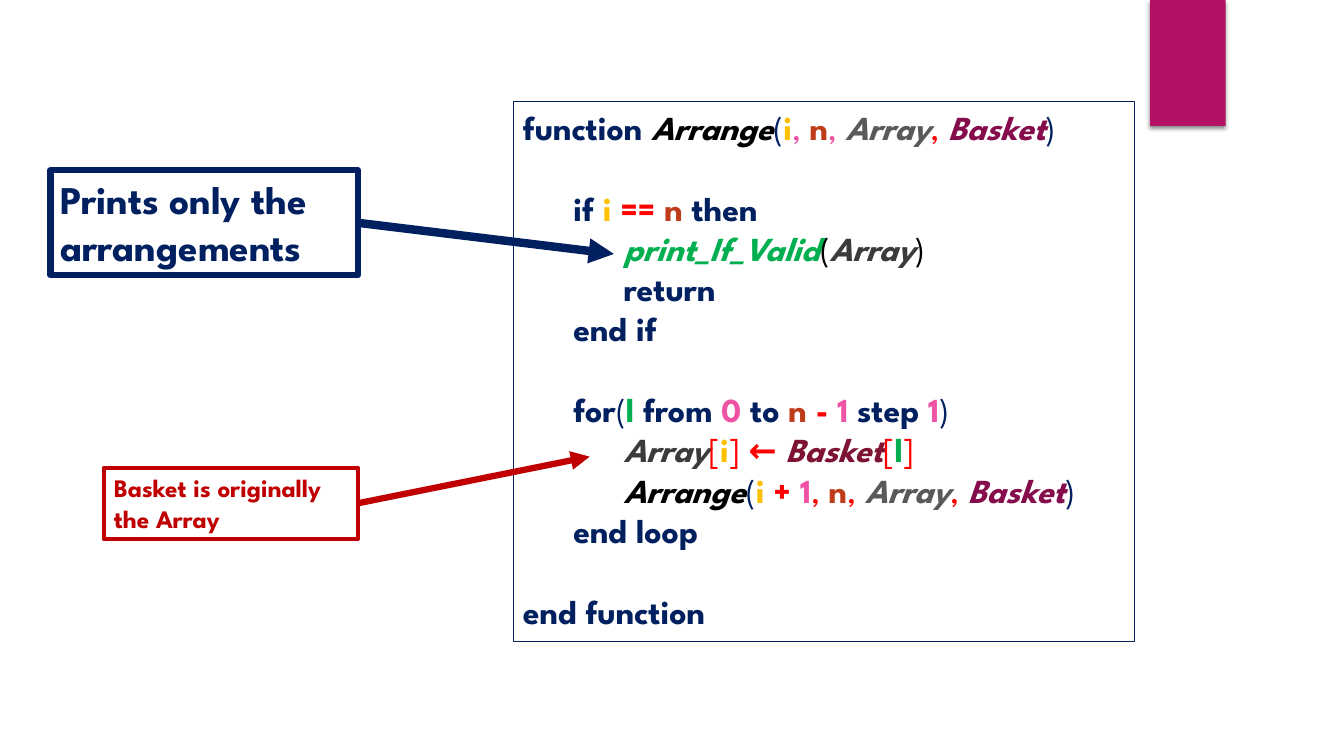
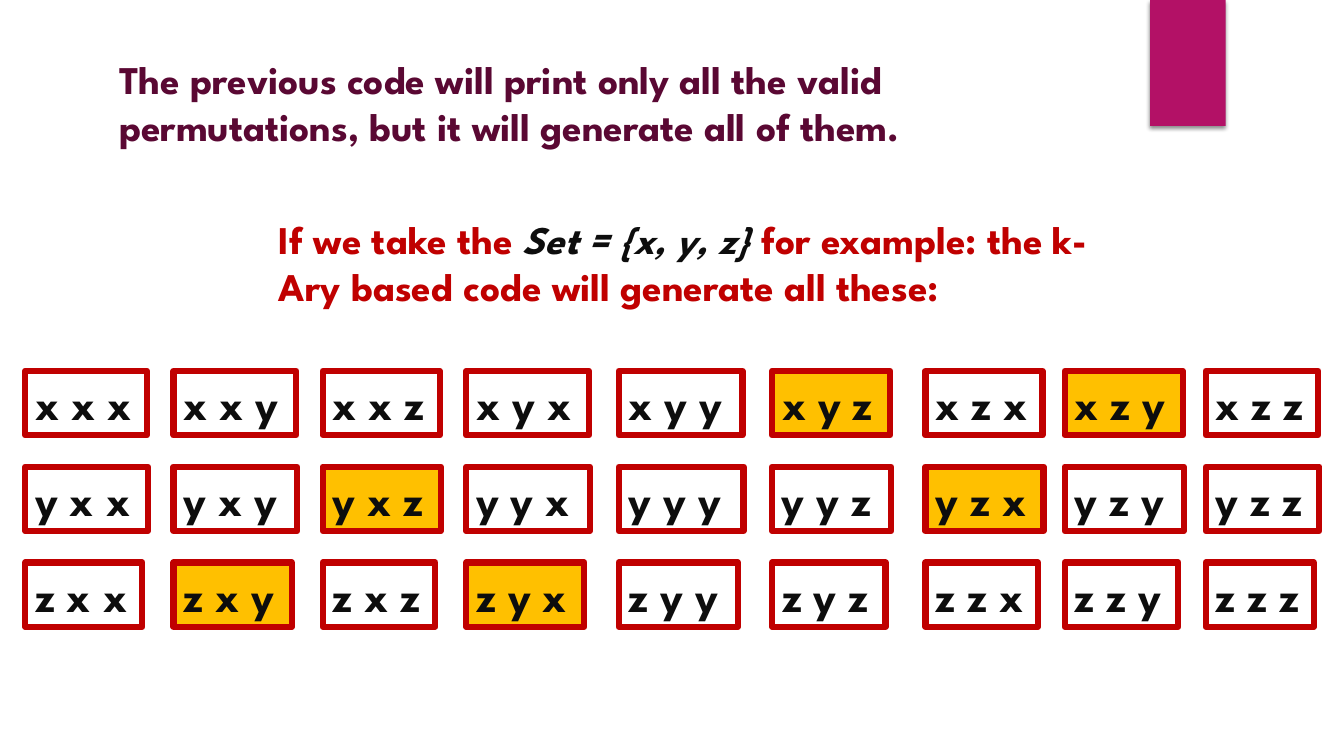
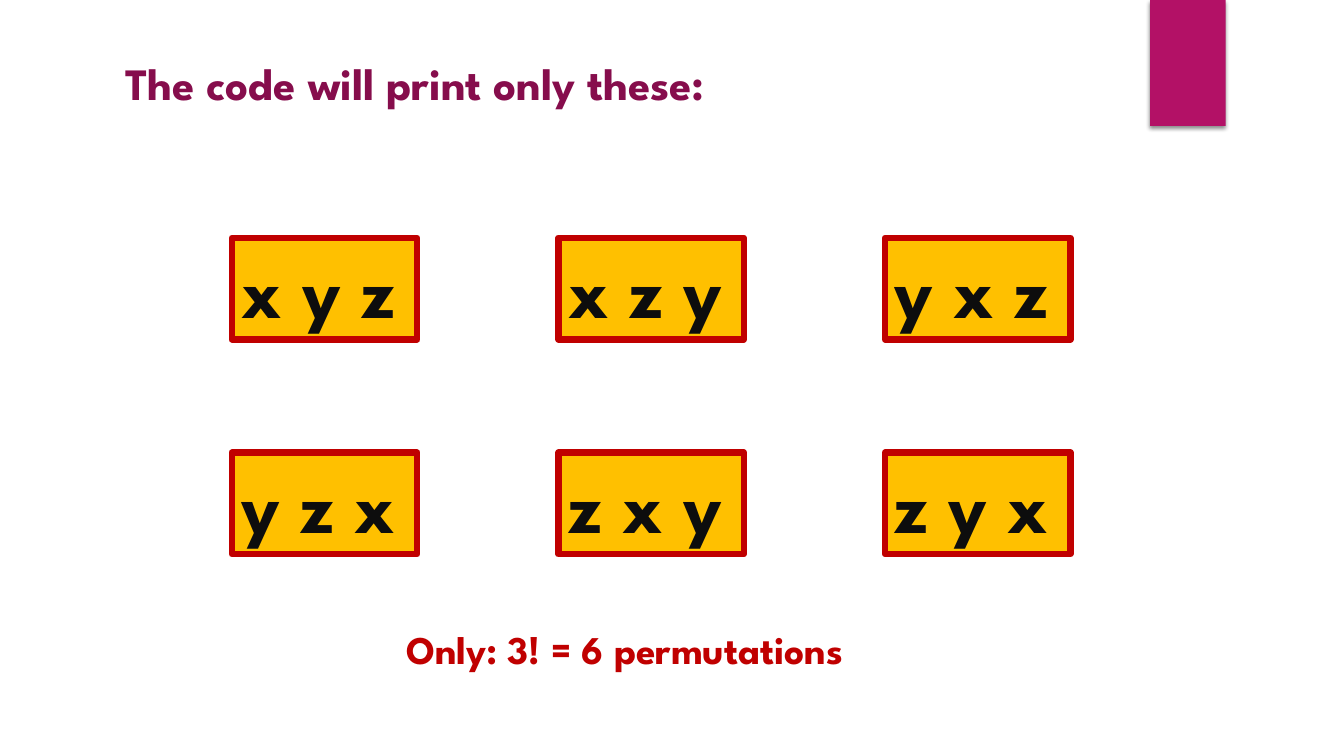
from dataclasses import dataclass
from itertools import permutations, product

from lxml import etree
from pptx import Presentation
from pptx.dml.color import RGBColor
from pptx.enum.shapes import MSO_CONNECTOR, MSO_SHAPE
from pptx.enum.text import MSO_ANCHOR, MSO_AUTO_SIZE, PP_ALIGN
from pptx.oxml.ns import qn
from pptx.util import Pt

STRAIGHT = MSO_CONNECTOR.STRAIGHT
RECTANGLE = MSO_SHAPE.RECTANGLE
TOP = MSO_ANCHOR.TOP
LEFT = PP_ALIGN.LEFT
GROW = MSO_AUTO_SIZE.SHAPE_TO_FIT_TEXT
TITLE_ONLY, BLANK = 5, 6
RIGHT_SIDE = 3


@dataclass(frozen=True)
class Theme:
    font: str = "League Spartan"
    band: str = "B31166"
    white: str = "FFFFFF"
    navy: str = "002060"
    crimson: str = "C00000"
    gold: str = "FFC000"
    ink: str = "0D0D0D"
    plum: str = "5A0833"
    berry: str = "860D4C"
    small: int = 18
    code: int = 24
    body: int = 28
    large: int = 32
    huge: int = 54
    line_height: float = 1.21
    cell_border: float = 4.5


THEME = Theme()

# Code styles: colour, bold, italic
CODE_STYLES = {
    "word": (THEME.navy, True, False),
    "bracket": (THEME.navy, False, False),
    "black bracket": ("000000", False, False),
    "index": (THEME.gold, True, False),
    "count": ("BE3C1A", True, False),
    "operator": ("FF0000", True, False),
    "mark": ("FF0000", False, False),
    "pink mark": ("EF53A5", False, False),
    "number": ("EF53A5", True, False),
    "loop": ("00B050", True, False),
    "print": ("00B050", True, True),
    "function": ("000000", True, True),
    "array": ("595959", True, True),
    "dark array": ("3B3B3B", True, True),
    "basket": (THEME.berry, True, True),
    "dark basket": ("7E1233", True, True),
}

# Code lines: indent level, whether a gap stands above, (text, style) runs
CODE_LINES = [
    (0, False, [("function ", "word"), ("Arrange", "function"), ("(", "bracket"),
                ("i", "index"), (", ", "pink mark"), ("n", "count"),
                (", ", "pink mark"), ("Array", "array"), (", ", "mark"),
                ("Basket", "basket"), (")", "bracket")]),
    (1, True, [("if ", "word"), ("i ", "index"), ("== ", "operator"),
               ("n ", "count"), ("then", "word")]),
    (2, False, [("print_If_Valid", "print"), ("(", "black bracket"),
                ("Array", "dark array"), (")", "black bracket")]),
    (2, False, [("return", "word")]),
    (1, False, [("end if", "word")]),
    (1, True, [("for", "word"), ("(", "bracket"), ("l ", "loop"), ("from ", "word"),
               ("0 ", "number"), ("to ", "word"), ("n ", "count"),
               ("- ", "operator"), ("1 ", "number"), ("step ", "word"),
               ("1", "number"), (")", "bracket")]),
    (2, False, [("Array", "dark array"), ("[", "mark"), ("i", "index"),
                ("] ", "mark"), ("← ", "operator"), ("Basket", "dark basket"),
                ("[", "mark"), ("l", "loop"), ("]", "mark")]),
    (2, False, [("Arrange", "function"), ("(", "bracket"), ("i ", "index"),
                ("+ ", "operator"), ("1", "number"), (", ", "mark"),
                ("n", "count"), (",", "mark"), (" Array", "array"),
                (", ", "mark"), ("Basket", "basket"), (")", "bracket")]),
    (1, False, [("end loop", "word")]),
    (0, True, [("end function", "word")]),
]

# Letter widths as a share of the type size
LETTER_WIDTHS = {"x": 0.756, "y": 0.778, "z": 0.653}


def colour(value):
    return RGBColor.from_string(value)


def add_run(paragraph, text, size, text_colour, bold=True, italic=False):
    run = paragraph.add_run()
    run.text = text
    run.font.name = THEME.font
    run.font.size = Pt(size)
    run.font.bold = bold
    run.font.italic = italic
    run.font.color.rgb = colour(text_colour)


def set_frame(shape, wrap=True):
    """Prepare a text frame and return its first paragraph."""
    frame = shape.text_frame
    frame.word_wrap = wrap
    frame.auto_size = GROW
    frame.vertical_anchor = TOP
    paragraph = frame.paragraphs[0]
    paragraph.alignment = LEFT
    return paragraph


def add_box(slide, box, line=None, line_width=0, fill=None):
    shape = slide.shapes.add_textbox(*map(Pt, box))
    if fill:
        shape.fill.solid()
        shape.fill.fore_color.rgb = colour(fill)
    if line:
        shape.line.color.rgb = colour(line)
        shape.line.width = Pt(line_width)
    return shape


def add_title(slide, box, text, size, text_colour):
    title = slide.shapes.title
    title.left, title.top, title.width, title.height = map(Pt, box)
    add_run(set_frame(title), text, size, text_colour)


def add_text(slide, box, runs, size):
    paragraph = set_frame(add_box(slide, box))
    for text, text_colour, italic in runs:
        add_run(paragraph, text, size, text_colour, italic=italic)


def add_master_band(presentation, slide, box):
    """Draw the corner band and move it to the master, behind every slide."""
    band = slide.shapes.add_shape(RECTANGLE, *map(Pt, box))
    band.fill.solid()
    band.fill.fore_color.rgb = colour(THEME.band)
    band.line.fill.background()
    band.shadow.inherit = False
    effects = band.element.spPr.find(qn("a:effectLst"))
    shadow = etree.SubElement(effects, qn("a:outerShdw"), blurRad=str(Pt(3)),
                              dist=str(Pt(2)), dir="5400000", rotWithShape="0")
    shade = etree.SubElement(shadow, qn("a:srgbClr"), val="000000")
    etree.SubElement(shade, qn("a:alpha"), val="45000")
    presentation.slide_master.shapes.element.append(band.element)


def add_code(slide, box):
    shape = add_box(slide, box, THEME.navy, 0.75, THEME.white)
    paragraph = set_frame(shape)
    for number, (level, gap, runs) in enumerate(CODE_LINES):
        if number:
            paragraph = shape.text_frame.add_paragraph()
            paragraph.alignment = LEFT
        paragraph._p.get_or_add_pPr().set("marL", str(Pt(36 * level)))
        if gap:
            paragraph.space_before = Pt(1.2 * THEME.code)
        for text, style in runs:
            add_run(paragraph, text, THEME.code, *CODE_STYLES[style])


def add_callout(slide, box, text, size, ink, border, target, arrow_width):
    """Add a framed note with an arrow from its right side to the target."""
    left, top, width, height = box
    note = add_box(slide, box, ink, border)
    add_run(set_frame(note), text, size, ink)
    arrow = slide.shapes.add_connector(
        STRAIGHT, Pt(left + width), Pt(top + height / 2), *map(Pt, target))
    arrow.begin_connect(note, RIGHT_SIDE)
    arrow.line.color.rgb = colour(ink)
    arrow.line.width = Pt(arrow_width)
    etree.SubElement(arrow.line._get_or_add_ln(), qn("a:tailEnd"), type="triangle")
    etree.SubElement(arrow.element.spPr, qn("a:effectLst"))


def add_arrangement(slide, left, top, letters, size):
    """Add one framed arrangement, gold when no letter repeats."""
    width = 14.4 + size * sum(LETTER_WIDTHS[letter] for letter in letters)
    height = 7.2 + size * THEME.line_height
    valid = len(set(letters)) == len(letters)
    cell = add_box(slide, (left, top, width, height), THEME.crimson,
                   THEME.cell_border, THEME.gold if valid else None)
    add_run(set_frame(cell, wrap=False), " ".join(letters), size, THEME.ink)


def add_arrangement_grid(slide, lefts, top, row_step, arrangements, size):
    for number, letters in enumerate(arrangements):
        row, column = divmod(number, len(lefts))
        add_arrangement(slide, lefts[column], top + row * row_step, letters, size)


def build_code_slide(slide):
    add_code(slide, (366.5, 72.7, 444.2, 385.2))
    add_callout(slide, (36, 121.7, 219.6, 74.9), "Prints only the arrangements",
                THEME.body, THEME.navy, 4.5, (438.5, 181.4), 6)
    add_callout(slide, (74.2, 334, 181.4, 51), "Basket is originally the Array",
                THEME.small, THEME.crimson, 3, (421.2, 326.2), 4.5)


def build_generated_slide(slide):
    add_title(slide, (77.8, 36, 643.7, 74.9),
              "The previous code will print only all the valid permutations, "
              "but it will generate all of them.", THEME.body, THEME.plum)
    add_text(slide, (192.2, 150.5, 618.5, 74.9), [
        ("If we take the ", THEME.crimson, False),
        ("Set = {x, y, z} ", THEME.ink, True),
        ("for example: the k-Ary based code will generate all these:",
         THEME.crimson, False),
    ], THEME.body)
    lefts = [18, 124, 230.5, 333, 442, 551.5, 661, 760.5, 861.3]
    add_arrangement_grid(slide, lefts, 265, 68.4, product("xyz", repeat=3),
                         THEME.large)


def build_printed_slide(slide):
    add_title(slide, (82.1, 36, 475.2, 46), "The code will print only these:",
              THEME.large, THEME.berry)
    lefts = [165.6 + 233.3 * column for column in range(3)]
    add_arrangement_grid(slide, lefts, 169.9, 153.4, permutations("xyz"), THEME.huge)
    add_text(slide, (283, 442.8, 354.2, 41),
             [("Only: 3! = 6 permutations", THEME.crimson, False)], THEME.body)


def main():
    presentation = Presentation()
    presentation.slide_width, presentation.slide_height = Pt(960), Pt(540)
    pages = [(BLANK, build_code_slide), (TITLE_ONLY, build_generated_slide),
             (TITLE_ONLY, build_printed_slide)]
    for layout, build in pages:
        build(presentation.slides.add_slide(presentation.slide_layouts[layout]))
    add_master_band(presentation, presentation.slides[0], (821.5, 0, 54, 90))
    presentation.save("out.pptx")


if __name__ == "__main__":
    main()
